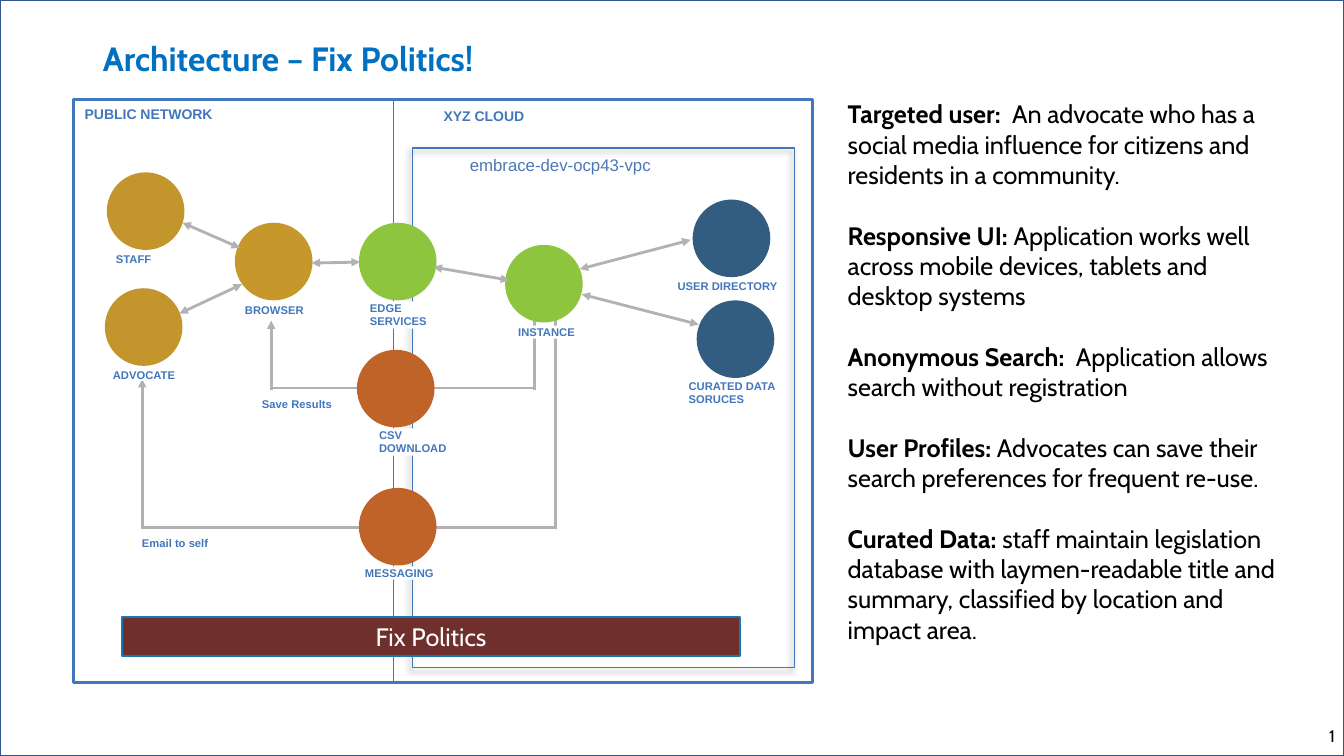
from lxml import etree
from pptx import Presentation
from pptx.dml.color import RGBColor
from pptx.enum import shapes, text
from pptx.oxml import ns
from pptx.util import Inches, Pt

WHITE = RGBColor(0xFF, 0xFF, 0xFF)
BLACK = RGBColor(0, 0, 0)
TITLE_BLUE = RGBColor(0x00, 0x70, 0xC0)
BORDER_BLUE = RGBColor(0x32, 0x54, 0x91)
BLUE = RGBColor(0x42, 0x77, 0xBB)
VPC_BLUE = RGBColor(0x4E, 0x77, 0xB6)
BAR_BLUE = RGBColor(0x1A, 0x77, 0xB5)
MAROON = RGBColor(0x6F, 0x2F, 0x2C)
GREY = RGBColor(0xB2, 0xB2, 0xB2)
GOLD = RGBColor(0xC2, 0x95, 0x2D)
BROWSER_GOLD = RGBColor(0xC6, 0x98, 0x2C)
GREEN = RGBColor(0x8D, 0xC5, 0x3F)
NAVY = RGBColor(0x32, 0x5C, 0x80)
RUST = RGBColor(0xC0, 0x63, 0x28)

CIRCLE = 0.77
DEFAULT_INSETS = (0.1, 0.05, 0.1, 0.05)
LABEL = dict(name="Arial", size=Pt(8), bold=True, color=BLUE)
ZONE = dict(LABEL, size=Pt(10))
BODY = dict(name="Cabin", size=Pt(18), bold=False, color=BLACK)

# Circle left, top, colour; label left, top, width, height, lines, left inset
NODES = [
    (1.04, 2.86, GOLD, 1.12, 3.65, 0.63, 0.13, ["ADVOCATE"], 0),
    (2.33, 2.21, BROWSER_GOLD, 2.43, 3.01, 0.59, 0.13, ["BROWSER"], 0),
    (5.01, 2.43, GREEN, 4.99, 3.23, 0.73, 0.13, ["INSTANCE"], 0.15),
    (3.56, 2.21, GREEN, 3.67, 2.99, 0.57, 0.27, ["EDGE", "SERVICES"], 0),
    (6.91, 2.98, NAVY, 6.83, 3.76, 0.92, 0.27, ["CURATED DATA", "SORUCES"], 0),
    (6.87, 1.98, NAVY, 6.72, 2.77, 1.09, 0.22, ["USER DIRECTORY"], 0),
    (3.56, 4.84, RUST, 3.62, 5.62, 0.69, 0.13, ["MESSAGING"], 0),
    (3.54, 3.47, RUST, 3.76, 4.25, 0.89, 0.27, ["CSV", "DOWNLOAD"], 0),
    (1.06, 1.71, GOLD, 1.15, 2.5, 0.36, 0.13, ["STAFF"], 0),
]

# Return routes: from x, y to x, y, arrowhead at the end
ROUTES = [
    (1.41, 5.23, 5.52, 5.23, False),
    (5.51, 5.23, 5.51, 3.16, False),
    (2.69, 3.87, 2.69, 3.18, True),
    (5.3, 3.87, 5.3, 3.18, False),
    (2.7, 3.85, 5.3, 3.85, False),
    (1.41, 5.25, 1.41, 3.76, True),
]

# Two-way links between nodes
LINKS = [
    (4.3, 2.65, 5.05, 2.78),
    (5.77, 2.92, 6.93, 3.22),
    (5.75, 2.67, 6.85, 2.38),
    (3.09, 2.61, 3.57, 2.6),
    (1.81, 2.21, 2.38, 2.46),
    (1.78, 3.11, 2.4, 2.82),
]

FEATURES = [
    ("Targeted user:  ", "An advocate who has a social media influence for "
     "citizens and residents in a community."),
    ("Responsive UI: ", "Application works well across mobile devices, "
     "tablets and desktop systems"),
    ("Anonymous Search:  ", "Application allows search without registration"),
    ("User Profiles: ", "Advocates can save their search preferences for "
     "frequent re-use."),
    ("Curated Data: ", "staff maintain legislation database with "
     "laymen-readable title and summary, classified by location and "
     "impact area."),
]


def format_font(font, values):
    for key, value in values.items():
        if key == "color":
            font.color.rgb = value
        else:
            setattr(font, key, value)


def set_frame(shape, insets, wrap=True, anchor=text.MSO_ANCHOR.TOP):
    frame = shape.text_frame
    sides = ("left", "top", "right", "bottom")
    for side, inset in zip(sides, insets):
        setattr(frame, "margin_" + side, Inches(inset))
    frame.word_wrap = wrap
    frame.vertical_anchor = anchor
    return frame


def add_shape(slide, kind, box, fill=None, line=None, weight=1):
    shape = slide.shapes.add_shape(kind, *map(Inches, box))
    shape.shadow.inherit = False
    if fill is None:
        shape.fill.background()
    else:
        shape.fill.solid()
        shape.fill.fore_color.rgb = fill
    if line is None:
        shape.line.fill.background()
    else:
        shape.line.color.rgb = line
        shape.line.width = Pt(weight)
    return shape


def add_text(slide, box, lines, font, insets=(0, 0, 0, 0), wrap=False,
             fill=None, align=text.PP_ALIGN.LEFT, anchor=text.MSO_ANCHOR.TOP):
    shape = slide.shapes.add_textbox(*map(Inches, box))
    if fill is not None:
        shape.fill.solid()
        shape.fill.fore_color.rgb = fill
    frame = set_frame(shape, insets, wrap, anchor)
    frame.text = "\n".join(lines)
    for paragraph in frame.paragraphs:
        paragraph.alignment = align
        format_font(paragraph.runs[0].font, font)


def add_line(slide, x1, y1, x2, y2, color=GREY, weight=2, heads=()):
    line = slide.shapes.add_connector(
        shapes.MSO_CONNECTOR.STRAIGHT, *map(Inches, (x1, y1, x2, y2)))
    line.line.color.rgb = color
    line.line.width = Pt(weight)
    outline = line.line._get_or_add_ln()
    for head in heads:
        etree.SubElement(outline, ns.qn("a:" + head), type="triangle")
    etree.SubElement(line._element.spPr, ns.qn("a:effectLst"))


def add_soft_shadow(shape):
    effects = shape._element.spPr.find(ns.qn("a:effectLst"))
    shadow = etree.SubElement(
        effects, ns.qn("a:outerShdw"), blurRad=str(Pt(4)), dist=str(Pt(3)),
        dir=str(135 * 60000), algn="tr", rotWithShape="0")
    color = etree.SubElement(shadow, ns.qn("a:srgbClr"), val="000000")
    etree.SubElement(color, ns.qn("a:alpha"), val="40000")


def add_title(slide):
    title = slide.shapes.title
    box = dict(left=0.92, top=0.4, width=11.5, height=0.4)
    for key, value in box.items():
        setattr(title, key, Inches(value))
    frame = set_frame(title, DEFAULT_INSETS, anchor=text.MSO_ANCHOR.MIDDLE)
    frame.text = "Architecture – Fix Politics!"
    paragraph = frame.paragraphs[0]
    paragraph.alignment = text.PP_ALIGN.LEFT
    paragraph.line_spacing = 0.9
    format_font(paragraph.runs[0].font, dict(
        name="Cabin", size=Pt(24), bold=True, color=TITLE_BLUE))


def add_node(slide, left, top, color, x, y, width, height, lines, indent):
    add_shape(slide, shapes.MSO_SHAPE.OVAL, (left, top, CIRCLE, CIRCLE), color)
    fill = None if color == NAVY else WHITE
    add_text(slide, (x, y, width, height), lines, LABEL, (indent, 0, 0, 0),
             fill=fill)


def add_features(slide):
    box = slide.shapes.add_textbox(*map(Inches, (8.31, 0.93, 4.64, 5.86)))
    frame = set_frame(box, DEFAULT_INSETS)
    for index, (heading, detail) in enumerate(FEATURES):
        paragraph = frame.add_paragraph() if index else frame.paragraphs[0]
        if index:
            paragraph.space_before = Pt(21.8)
        for words, bold in ((heading, True), (detail, False)):
            run = paragraph.add_run()
            run.text = words
            format_font(run.font, dict(BODY, bold=bold))


def main():
    presentation = Presentation()
    presentation.slide_width = Inches(13.33)
    presentation.slide_height = Inches(7.5)
    slide = presentation.slides.add_slide(presentation.slide_layouts[5])
    slide.background.fill.solid()
    slide.background.fill.fore_color.rgb = WHITE
    rectangle = shapes.MSO_SHAPE.RECTANGLE

    # Page border, title and number
    add_shape(slide, rectangle, (0, 0, 13.33, 7.5), line=BORDER_BLUE)
    add_title(slide)
    add_text(slide, (12.85, 7.1, 0.49, 0.4), ["1"], dict(BODY, size=Pt(12)),
             DEFAULT_INSETS, True, align=text.PP_ALIGN.RIGHT,
             anchor=text.MSO_ANCHOR.MIDDLE)

    # Network zones
    for x1, y1, x2, y2, arrow in ROUTES:
        add_line(slide, x1, y1, x2, y2, heads=["tailEnd"] if arrow else [])
    add_shape(slide, rectangle, (0.73, 0.99, 7.33, 5.78), line=BLUE, weight=2)
    add_line(slide, 3.9, 6.77, 3.9, 0.99, BLUE, 0.25)
    add_text(slide, (0.84, 1.05, 1.29, 0.17), ["PUBLIC NETWORK"], ZONE)
    add_text(slide, (4.4, 1.07, 0.8, 0.17), ["XYZ CLOUD"], ZONE)
    vpc = add_shape(slide, rectangle, (4.09, 1.47, 3.79, 5.15), line=BLUE)
    add_soft_shadow(vpc)
    add_text(slide, (4.6, 1.48, 2.77, 0.31), ["embrace-dev-ocp43-vpc"],
             dict(name="Arial", size=Pt(12), color=VPC_BLUE), (0.06,) * 4, True)

    # Application bar
    bar = add_shape(slide, rectangle, (1.21, 6.12, 6.13, 0.39), MAROON,
                    BAR_BLUE, 1.5)
    frame = set_frame(bar, (0.04,) * 4, anchor=text.MSO_ANCHOR.MIDDLE)
    frame.text = "Fix Politics"
    frame.paragraphs[0].alignment = text.PP_ALIGN.CENTER
    format_font(frame.paragraphs[0].runs[0].font, dict(BODY, color=WHITE))

    # Nodes, links and route captions
    for node in NODES:
        add_node(slide, *node)
    for link in LINKS:
        add_line(slide, *link, heads=["headEnd", "tailEnd"])
    for box, caption in (((1.31, 5.27, 1, 0.24), "Email to self"),
                         ((2.5, 3.89, 1.02, 0.24), "Save Results")):
        add_text(slide, box, [caption], LABEL, DEFAULT_INSETS, True, WHITE)

    add_features(slide)
    presentation.save("out.pptx")


if __name__ == "__main__":
    main()
